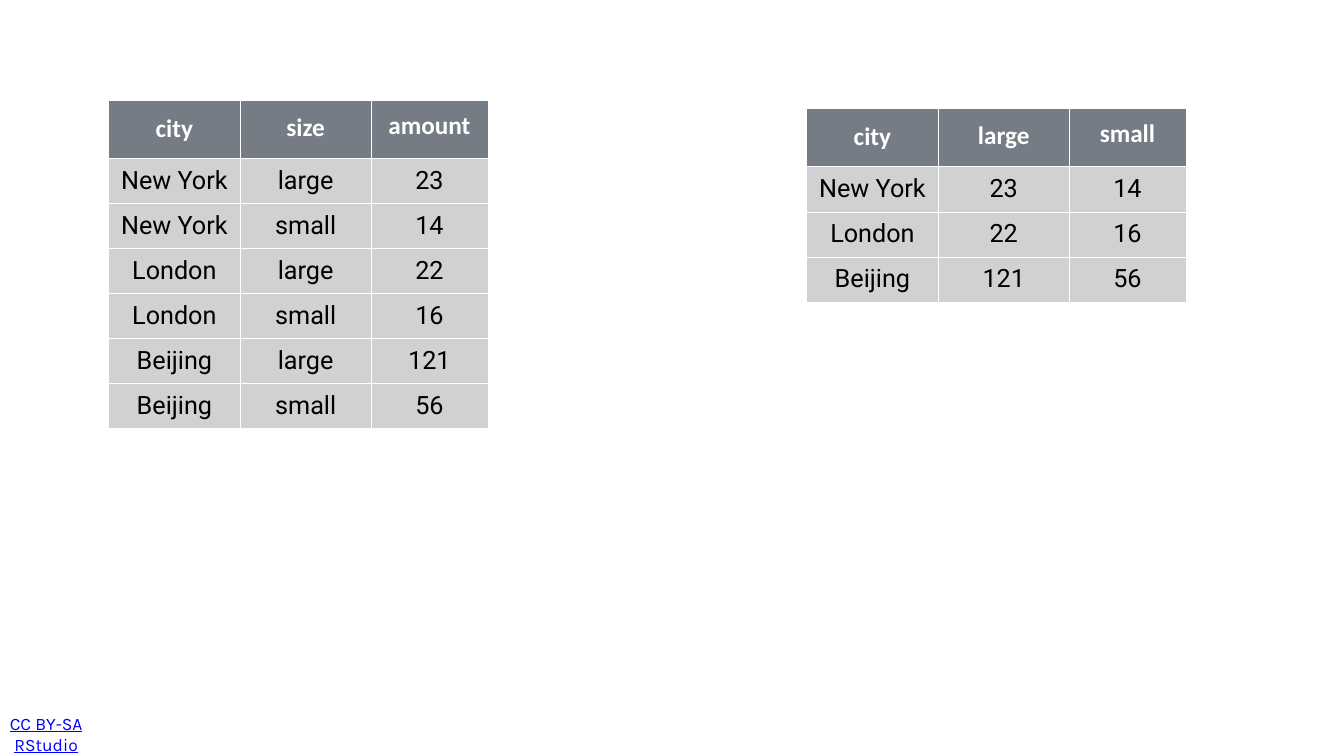
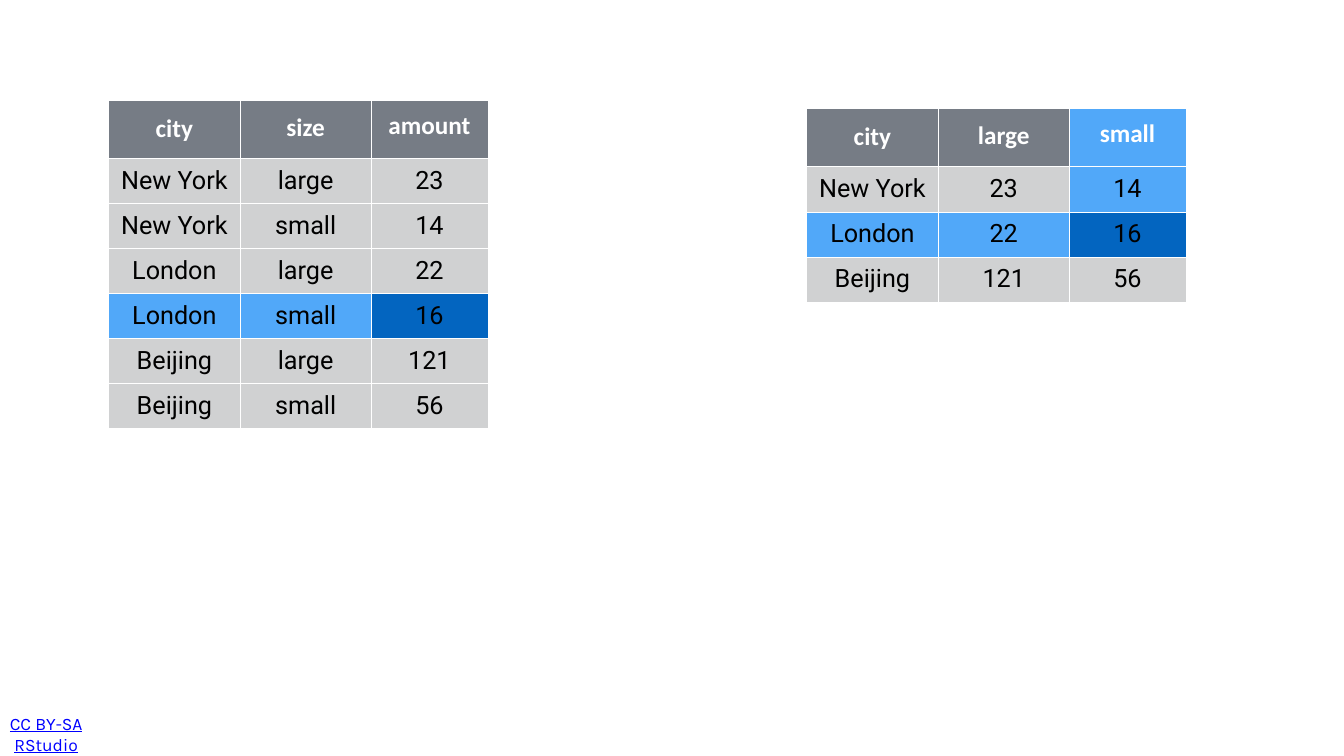
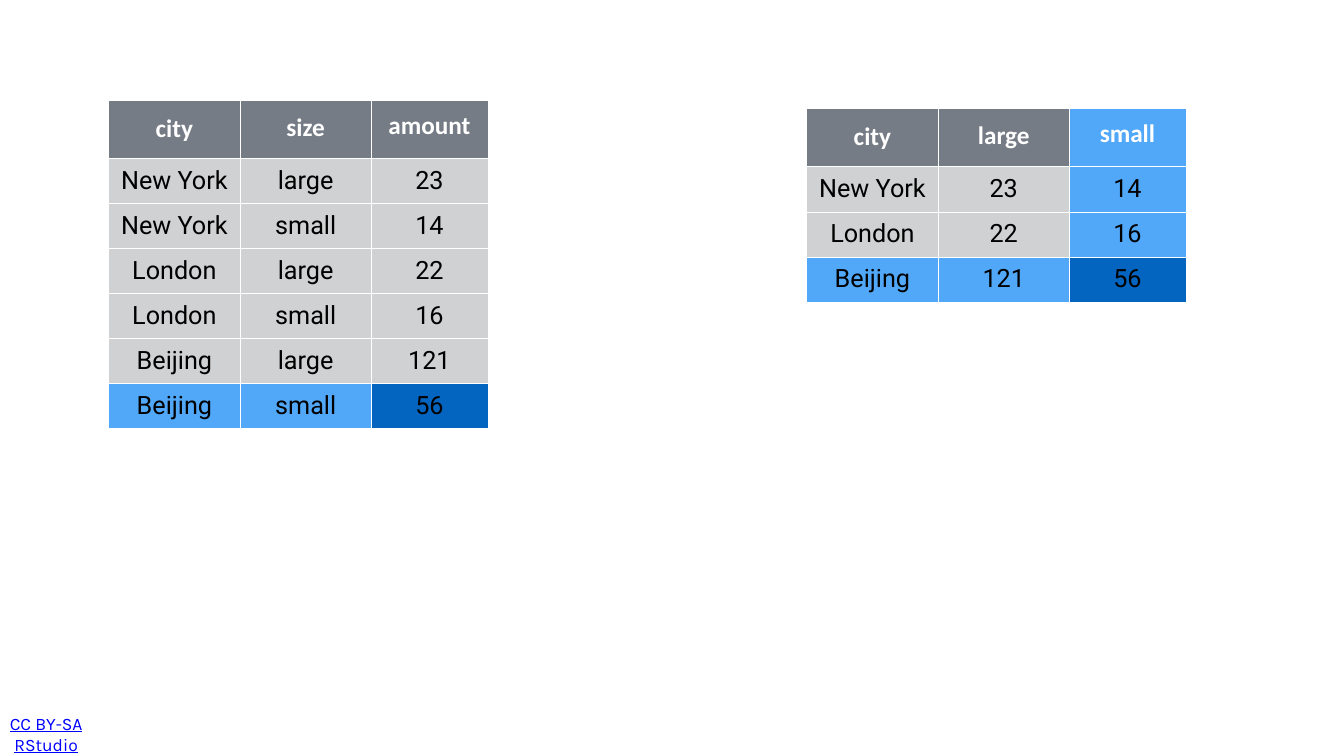
from lxml import etree
from pptx import Presentation
from pptx.dml.color import RGBColor
from pptx.enum import text
from pptx.oxml import ns
from pptx.util import Pt

WHITE = RGBColor(0xFF, 0xFF, 0xFF)
BLACK = RGBColor(0x00, 0x00, 0x00)
SLATE = RGBColor(0x76, 0x7C, 0x85)
SILVER = RGBColor(0xD0, 0xD1, 0xD2)
SKY = RGBColor(0x51, 0xA8, 0xF9)
COBALT = RGBColor(0x03, 0x65, 0xC0)
LICENCE_BLUE = RGBColor(0x00, 0x00, 0xFF)

HEADER_FONT = {"name": "Calibri", "size": Pt(36), "bold": True}
BODY_FONT = {"name": "Roboto", "size": Pt(36), "bold": False}
LICENCE_FONT = {"name": "Karla", "size": Pt(25), "underline": True}

COLUMN_WIDTHS = (188.7, 186.5, 167)
HEADER_SPACING = (None, 0.8, 0.6)
BODY_HEIGHT = 64.3
CELL_MARGIN = 4.3

RECORDS = [
    ("New York", "large", "23"),
    ("New York", "small", "14"),
    ("London", "large", "22"),
    ("London", "small", "16"),
    ("Beijing", "large", "121"),
    ("Beijing", "small", "56"),
]
LONG_ROWS = [("city", "size", "amount"), *RECORDS]
HIGHLIGHTED_RECORDS = (None, ("London", "small", "16"), ("Beijing", "small", "56"))


def widen(records):
    """Turn (city, size, amount) records into one row per city, one column per size."""
    amounts = {(city, size): amount for city, size, amount in records}
    cities = list(dict.fromkeys(city for city, _, _ in records))
    sizes = list(dict.fromkeys(size for _, size, _ in records))
    body = [(city, *(amounts[city, size] for size in sizes)) for city in cities]
    return [("city", *sizes), *body]


def set_margins(target, left, top, right, bottom):
    sides = {"left": left, "top": top, "right": right, "bottom": bottom}
    for side, margin in sides.items():
        setattr(target, f"margin_{side}", Pt(margin))


def write(paragraph, words, font, color, spacing=None):
    paragraph.alignment = text.PP_ALIGN.CENTER
    if spacing:
        paragraph.line_spacing = spacing
    run = paragraph.add_run()
    run.text = words
    for attribute, value in font.items():
        setattr(run.font, attribute, value)
    run.font.color.rgb = color


def draw_borders(cell, color, width):
    properties = cell._tc.get_or_add_tcPr()
    for side in ("a:lnL", "a:lnR", "a:lnT", "a:lnB"):
        border = etree.SubElement(properties, ns.qn(side), w=str(Pt(width)))
        fill = etree.SubElement(border, ns.qn("a:solidFill"))
        etree.SubElement(fill, ns.qn("a:srgbClr"), val=str(color))


def cell_color(row, column, target, follow_column):
    """Dark at the target cell, light on the way to it, plain elsewhere."""
    if target:
        target_row, target_column = target
        if (row, column) == target:
            return COBALT
        if row == target_row and column < target_column:
            return SKY
        if follow_column and column == target_column and row < target_row:
            return SKY
    return SILVER if row else SLATE


def add_data_table(slide, left, top, header_height, rows, target, follow_column=False):
    heights = [header_height] + [BODY_HEIGHT] * (len(rows) - 1)
    table = slide.shapes.add_table(
        len(rows), len(COLUMN_WIDTHS), Pt(left), Pt(top),
        Pt(sum(COLUMN_WIDTHS)), Pt(sum(heights))).table
    table.first_row = table.horz_banding = False
    for column, width in zip(table.columns, COLUMN_WIDTHS):
        column.width = Pt(width)
    for r, (values, height) in enumerate(zip(rows, heights)):
        table.rows[r].height = Pt(height)
        for c, value in enumerate(values):
            cell = table.cell(r, c)
            cell.vertical_anchor = text.MSO_ANCHOR.MIDDLE
            set_margins(cell, *[CELL_MARGIN] * 4)
            draw_borders(cell, WHITE, 1)
            cell.fill.solid()
            cell.fill.fore_color.rgb = cell_color(r, c, target, follow_column)
            paragraph = cell.text_frame.paragraphs[0]
            if r:
                write(paragraph, value, BODY_FONT, BLACK)
            else:
                write(paragraph, value, HEADER_FONT, WHITE, HEADER_SPACING[c])


def add_licence(slide):
    frame = slide.shapes.add_textbox(Pt(8.64), Pt(1026.7), Pt(191.5), Pt(43.2)).text_frame
    frame.word_wrap = True
    frame.auto_size = text.MSO_AUTO_SIZE.NONE
    frame.vertical_anchor = text.MSO_ANCHOR.MIDDLE
    # The wide right margin keeps the two lines in the corner.
    set_margins(frame, 3, 5.8, 80, 5.8)
    write(frame.paragraphs[0], "CC BY-SA RStudio", LICENCE_FONT, LICENCE_BLUE)


def add_reshape_slide(deck, record):
    """Show the long and the wide table, with one record marked in both."""
    wide_rows = widen(RECORDS)
    long_target = wide_target = None
    if record:
        city, size, _ = record
        long_target = (LONG_ROWS.index(record), 2)
        cities = [row[0] for row in wide_rows]
        wide_target = (cities.index(city), wide_rows[0].index(size))
    slide = deck.slides.add_slide(deck.slide_layouts[6])
    add_licence(slide)
    add_data_table(slide, 154.8, 142.6, 83.5, LONG_ROWS, long_target)
    add_data_table(slide, 1152, 154.1, 84.2, wide_rows, wide_target, follow_column=True)


def main():
    deck = Presentation()
    deck.slide_width, deck.slide_height = Pt(1920), Pt(1080)
    for record in HIGHLIGHTED_RECORDS:
        add_reshape_slide(deck, record)
    deck.save("out.pptx")


if __name__ == "__main__":
    main()
